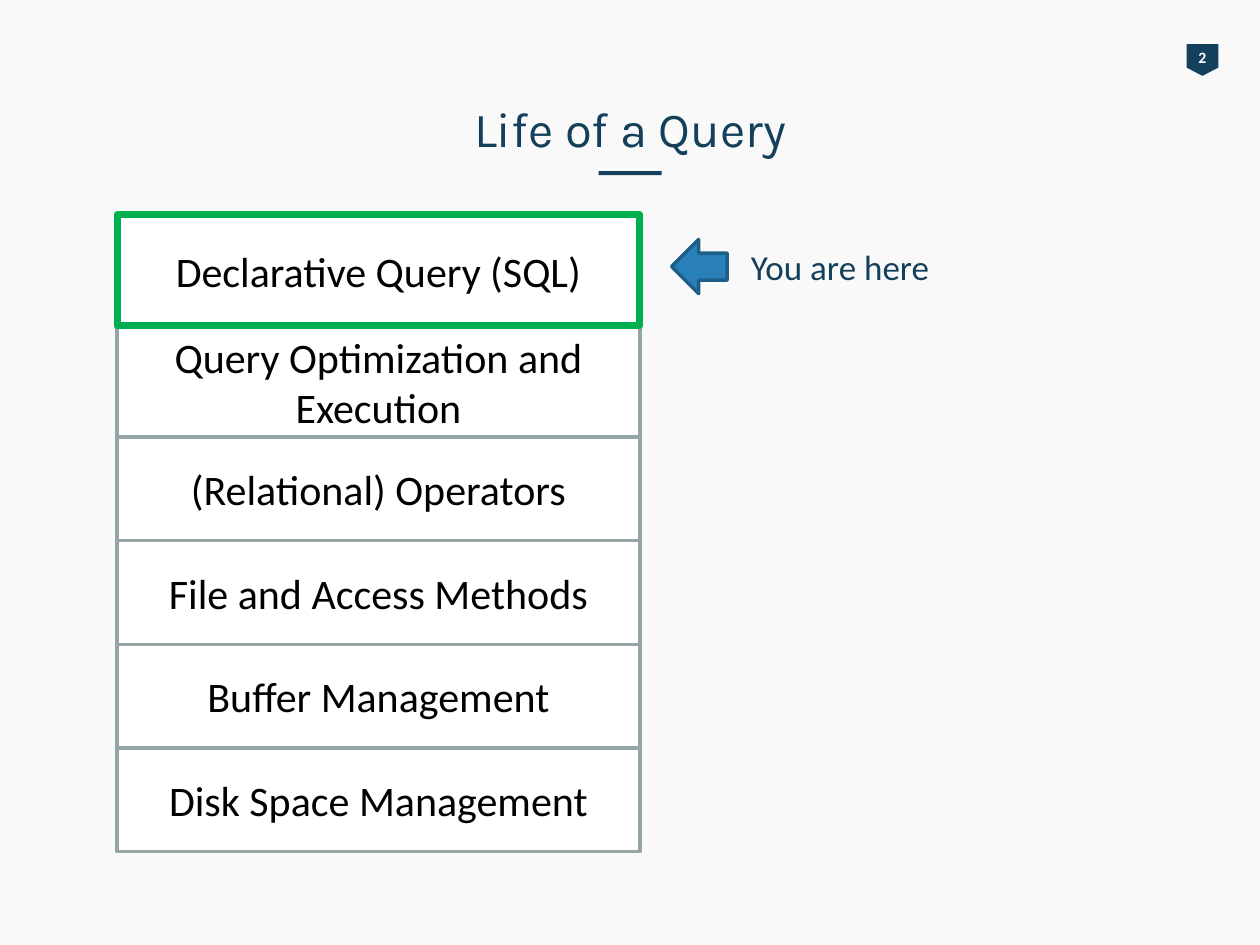
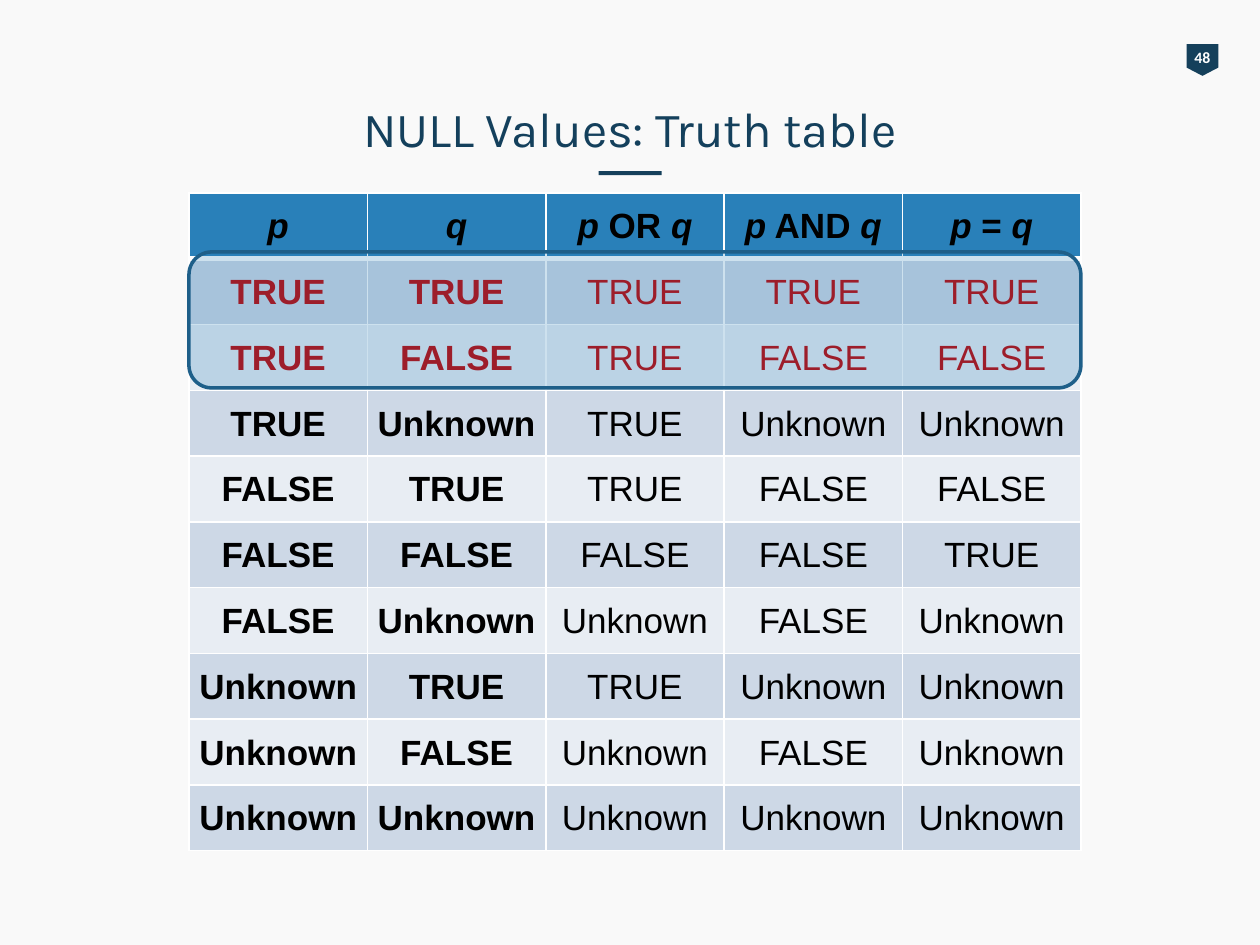
from lxml import etree
from pptx import Presentation
from pptx import util as u
from pptx.dml.color import RGBColor
from pptx.enum import shapes, text
from pptx.oxml import ns

LIFE = {
    "title": "Life of a Query",
    "number": "2",
    "layers": [
        ("Declarative Query (SQL)", 2.24),
        ("Query Optimization and Execution", 2.24),
        ("(Relational) Operators", 2.09),
        ("File and Access Methods", 2.09),
        ("Buffer Management", 2.09),
        ("Disk Space Management", 2.09),
    ],
    "current": "Declarative Query (SQL)",
    "pointer": "You are here",
}
TRUTH = {
    "title": "NULL Values: Truth table",
    "number": "48",
    "header": [("p",), ("q",), ("p", " OR ", "q"), ("p", " AND ", "q"), ("p", " = ", "q")],
    "rows": [
        ("TRUE", "TRUE", "TRUE", "TRUE", "TRUE"),
        ("TRUE", "FALSE", "TRUE", "FALSE", "FALSE"),
        ("TRUE", "Unknown", "TRUE", "Unknown", "Unknown"),
        ("FALSE", "TRUE", "TRUE", "FALSE", "FALSE"),
        ("FALSE", "FALSE", "FALSE", "FALSE", "TRUE"),
        ("FALSE", "Unknown", "Unknown", "FALSE", "Unknown"),
        ("Unknown", "TRUE", "TRUE", "Unknown", "Unknown"),
        ("Unknown", "FALSE", "Unknown", "FALSE", "Unknown"),
        ("Unknown", "Unknown", "Unknown", "Unknown", "Unknown"),
    ],
    "known_rows": 2,
    "operands": 2,
}

COLORS = {
    "paper": "F9F9F9", "navy": "15405B", "heading": "14405C", "white": "FFFFFF",
    "black": "000000", "gray": "95A5A6", "green": "00B050", "blue": "2980B9",
    "edge": "1E5F89", "red": "C00000", "odd": "CDD8E6", "even": "E8EDF3",
}
FORMATS = {
    "title": {"name": "Karla", "size": u.Pt(28)},
    "number": {"name": "Calibri", "size": u.Pt(9), "bold": True},
    "layer": {"name": "Calibri", "size": u.Pt(24)},
    "pointer": {"name": "Calibri", "size": u.Pt(20)},
    "truth": {"name": "Arial", "size": u.Pt(20)},
}
CENTER, LEFT = text.PP_ALIGN.CENTER, text.PP_ALIGN.LEFT
MIDDLE, TOP = text.MSO_ANCHOR.MIDDLE, text.MSO_ANCHOR.TOP


def rgb(color):
    return RGBColor.from_string(COLORS[color])


def apply(target, values):
    for name, value in values.items():
        setattr(target, name, value)


def write(frame, parts, style, color, align=CENTER, anchor=MIDDLE, wrap=True):
    apply(frame, {"word_wrap": wrap, "vertical_anchor": anchor})
    line = frame.paragraphs[0]
    line.alignment = align
    for wording, extra in parts:
        run = line.add_run()
        run.text = wording
        apply(run.font, {**FORMATS[style], **extra})
        run.font.color.rgb = rgb(color)


def label(slide, place, wording, style, color, **layout):
    box = slide.shapes.add_textbox(*map(u.Cm, place))
    write(box.text_frame, [(wording, {})], style, color, **layout)
    return box


def block(slide, kind, place, fill, edge=None, width=2):
    figure = slide.shapes.add_shape(kind, *map(u.Cm, place))
    figure.shadow.inherit = False
    figure.fill.solid()
    figure.fill.fore_color.rgb = rgb(fill)
    if edge:
        figure.line.color.rgb = rgb(edge)
        figure.line.width = u.Pt(width)
    else:
        figure.line.fill.background()
    return figure


def start_slide(deck, content):
    slide = deck.slides.add_slide(deck.slide_layouts[6])
    slide.background.fill.solid()
    slide.background.fill.fore_color.rgb = rgb("paper")
    badge = block(slide, shapes.MSO_SHAPE.PENTAGON, (23.92, 0.89, 0.64, 0.64), "navy")
    badge.rotation = 90
    badge.adjustments[0] = 0.26
    label(slide, (23.82, 0.84, 0.84, 0.64), content["number"], "number", "white",
          anchor=TOP, wrap=False)
    label(slide, (1.27, 1.85, 22.86, 1.45), content["title"], "title", "heading")
    block(slide, shapes.MSO_SHAPE.RECTANGLE, (12.07, 3.45, 1.27, 0.08), "navy")
    return slide


def draw_life(deck):
    slide = start_slide(deck, LIFE)
    top, stack = 4.33, []
    for wording, height in LIFE["layers"]:
        stack.append((wording, (2.36, top, 10.54, height)))
        top += height
    for wording, place in sorted(stack, key=lambda layer: layer[0] == LIFE["current"]):
        edge, width = ("green", 4) if wording == LIFE["current"] else ("gray", 2)
        layer = block(slide, shapes.MSO_SHAPE.RECTANGLE, place, "white", edge, width)
        write(layer.text_frame, [(wording, {})], "layer", "black")
    pointer = label(slide, (13.92, 4.83, 9.83, 12.32), LIFE["pointer"], "pointer",
                    "heading", align=LEFT, anchor=TOP)
    pointer.text_frame.margin_left = u.Cm(1.22)
    block(slide, shapes.MSO_SHAPE.LEFT_ARROW, (13.54, 4.83, 1.12, 1.09), "blue", "edge")


def border(cell, bottom):
    properties = cell._tc.get_or_add_tcPr()
    for side, width in (("L", 1), ("R", 1), ("T", 1), ("B", bottom)):
        line = etree.SubElement(properties, ns.qn("a:ln" + side), w=str(u.Pt(width)))
        fill = etree.SubElement(line, ns.qn("a:solidFill"))
        etree.SubElement(fill, ns.qn("a:srgbClr"), val=COLORS["white"])


def draw_truth(deck):
    slide = start_slide(deck, TRUTH)
    lines = [TRUTH["header"]] + [[(value,) for value in row] for row in TRUTH["rows"]]
    left, top, width, height = 3.81, 3.89, 17.98, 13.26
    columns = len(TRUTH["header"])
    truth = slide.shapes.add_table(len(lines), columns,
                                   *map(u.Cm, (left, top, width, height))).table
    apply(truth, {"first_row": False, "horz_banding": False})
    for column in truth.columns:
        column.width = u.Cm(width / columns)
    for r, line in enumerate(lines):
        truth.rows[r].height = u.Cm(height / len(lines))
        fill = "blue" if r == 0 else "odd" if r % 2 else "even"
        color = "red" if 1 <= r <= TRUTH["known_rows"] else "black"
        for c, parts in enumerate(line):
            cell = truth.cell(r, c)
            border(cell, 3 if r == 0 else 1)
            cell.fill.solid()
            cell.fill.fore_color.rgb = rgb(fill)
            apply(cell, {"margin_left": u.Cm(0.03), "margin_right": u.Cm(0.03),
                         "margin_top": u.Cm(0.03), "margin_bottom": 0,
                         "vertical_anchor": MIDDLE})
            bold = r == 0 or c < TRUTH["operands"]
            runs = [(part, {"bold": bold, "italic": part in ("p", "q")}) for part in parts]
            write(cell.text_frame, runs, "truth", color)
    known = block(slide, shapes.MSO_SHAPE.ROUNDED_RECTANGLE, (left, 5.08, width, 2.74),
                  "blue", "edge")
    tint = known._element.spPr.find(ns.qn("a:solidFill"))[0]
    etree.SubElement(tint, ns.qn("a:alpha"), val="23000")


def main():
    deck = Presentation()
    apply(deck, {"slide_width": u.Cm(25.4), "slide_height": u.Cm(19.05)})
    draw_life(deck)
    draw_truth(deck)
    deck.save("out.pptx")


if __name__ == "__main__":
    main()
